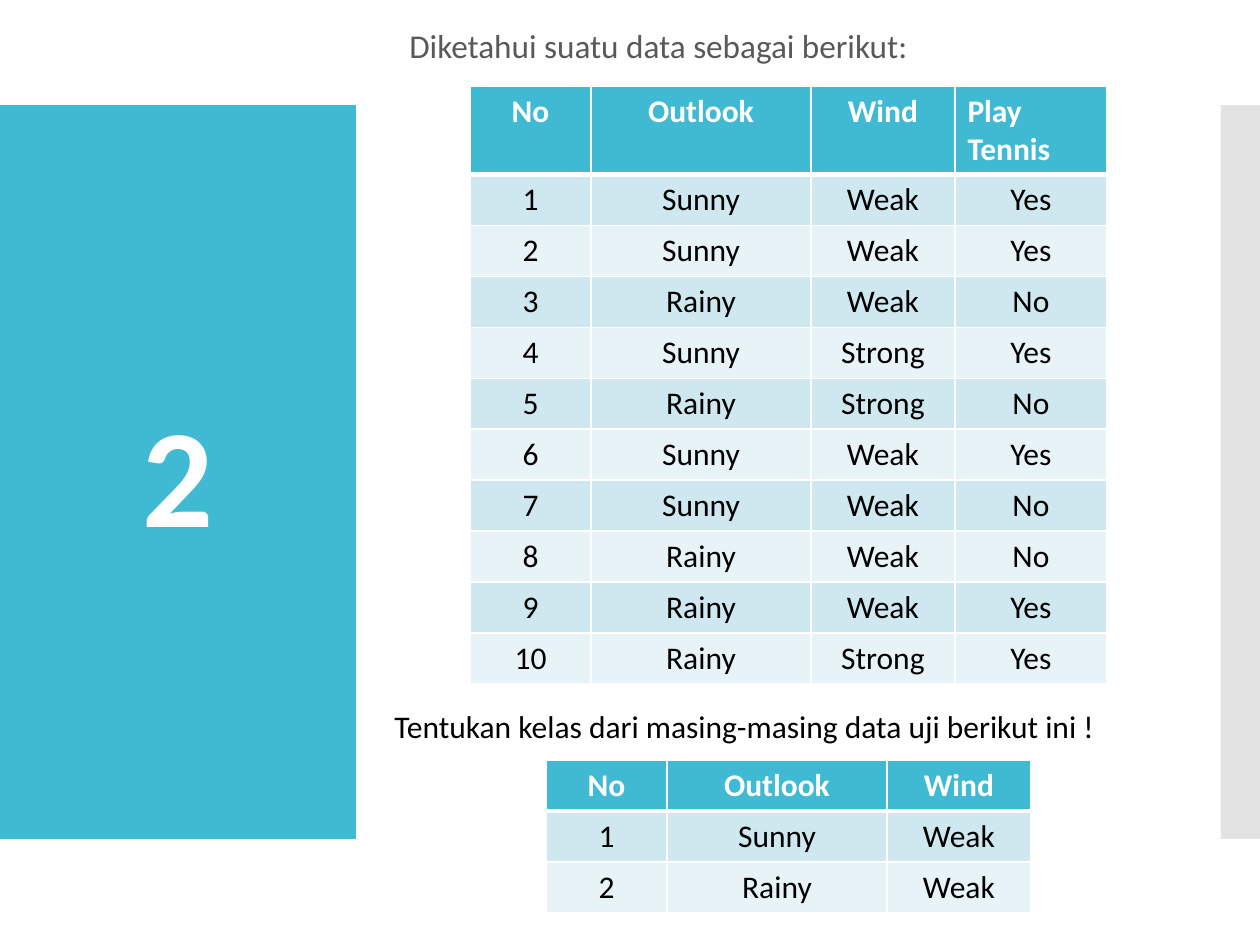
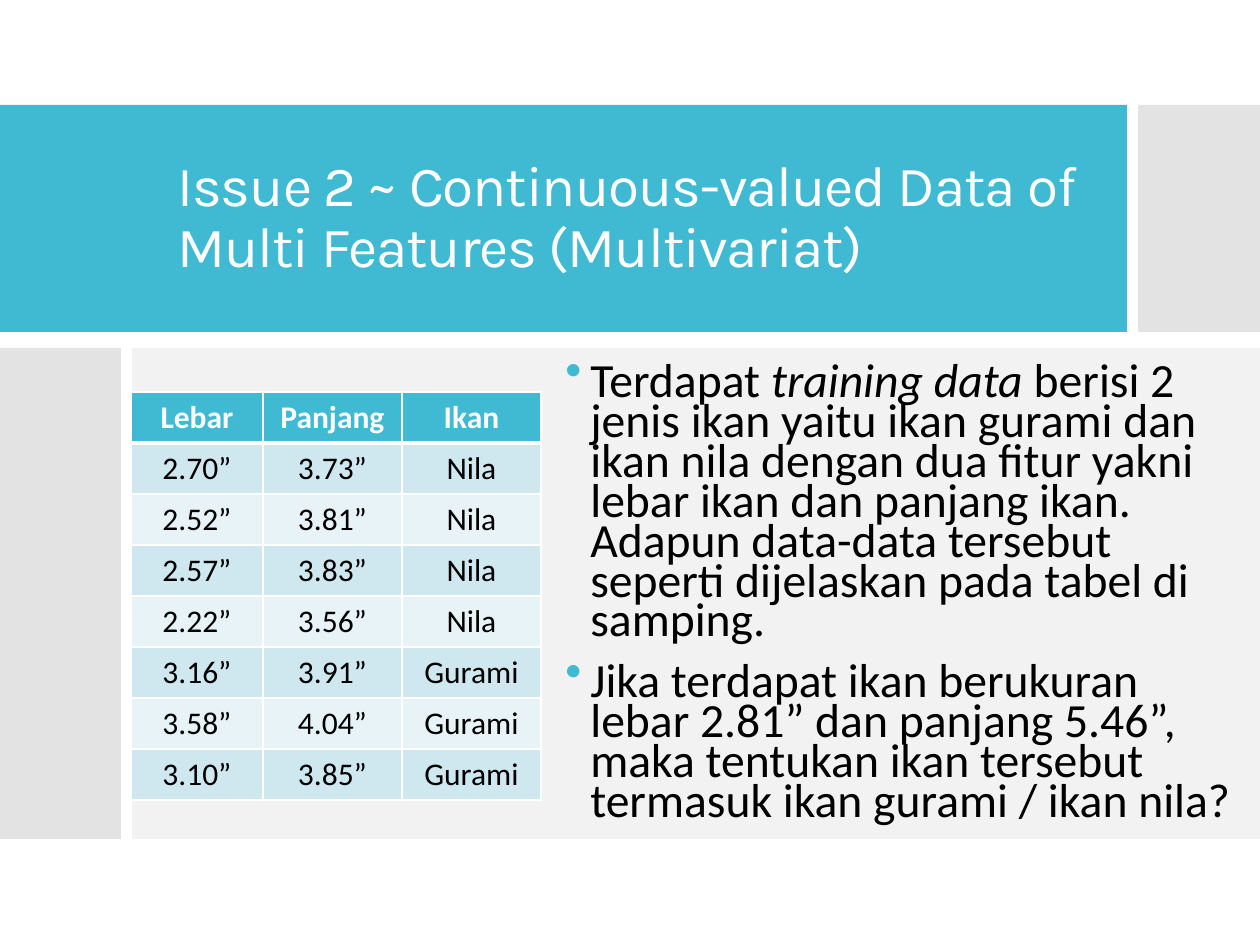
from lxml import etree
from pptx import Presentation
from pptx.dml.color import RGBColor
from pptx.enum.shapes import MSO_SHAPE
from pptx.enum.text import MSO_ANCHOR, PP_ALIGN
from pptx.oxml.ns import qn
from pptx.util import Pt

RECT = MSO_SHAPE.RECTANGLE
TOP, MID = MSO_ANCHOR.TOP, MSO_ANCHOR.MIDDLE
LEFT, MIDDLE = PP_ALIGN.LEFT, PP_ALIGN.CENTER
SCALE = 914400 / 126

HUES = {
    "teal": "40BAD2", "gray": "C8C8C8", "pale": "F2F2F2", "white": "FFFFFF",
    "snow": "FEFEFE", "ink": "000000", "soft": "595959",
    "odd": "CFE7EE", "even": "E8F3F7",
}

# Content
INTRO = "Diketahui suatu data sebagai berikut:"
TASK = "Tentukan kelas dari masing-masing data uji berikut ini !"
NUMBER = "2"
TITLE = "Issue 2 ~ Continuous-valued Data of Multi Features (Multivariat)"
POINTS = [
    [("Terdapat ", False), ("training data ", True),
     ("berisi 2 jenis ikan yaitu ikan gurami dan ikan nila dengan dua fitur "
      "yakni lebar ikan dan panjang ikan. Adapun data-data tersebut seperti "
      "dijelaskan pada tabel di samping.", False)],
    [("Jika terdapat ikan berukuran lebar 2.81” dan panjang 5.46”, maka "
      "tentukan ikan tersebut termasuk ikan gurami / ikan nila?", False)],
]
TENNIS = [
    ("No", "Outlook", "Wind", "Play Tennis"),
    ("1", "Sunny", "Weak", "Yes"),
    ("2", "Sunny", "Weak", "Yes"),
    ("3", "Rainy", "Weak", "No"),
    ("4", "Sunny", "Strong", "Yes"),
    ("5", "Rainy", "Strong", "No"),
    ("6", "Sunny", "Weak", "Yes"),
    ("7", "Sunny", "Weak", "No"),
    ("8", "Rainy", "Weak", "No"),
    ("9", "Rainy", "Weak", "Yes"),
    ("10", "Rainy", "Strong", "Yes"),
]
TESTS = [
    ("No", "Outlook", "Wind"),
    ("1", "Sunny", "Weak"),
    ("2", "Rainy", "Weak"),
]
FISH = [
    ("Lebar", "Panjang", "Ikan"),
    ("2.70”", "3.73”", "Nila"),
    ("2.52”", "3.81”", "Nila"),
    ("2.57”", "3.83”", "Nila"),
    ("2.22”", "3.56”", "Nila"),
    ("3.16”", "3.91”", "Gurami"),
    ("3.58”", "4.04”", "Gurami"),
    ("3.10”", "3.85”", "Gurami"),
]

# Bands: left, top, width, height, colour, opacity in percent
SIDES = [
    (0, 105, 356, 734, "teal", 100),
    (1221, 105, 39, 734, "gray", 50),
]
FRAMES = [
    (0, 105, 1127, 227, "teal", 100),
    (132, 348, 1128, 491, "pale", 100),
    (1138, 105, 122, 227, "gray", 50),
    (0, 348, 121, 491, "gray", 50),
]

# Text formats
FONTS = {
    "intro": {"name": "Calibri", "size": Pt(19)},
    "number": {"name": "Calibri", "size": Pt(80), "bold": True},
    "plain": {"name": "Calibri", "size": Pt(18), "bold": False},
    "head": {"name": "Calibri", "size": Pt(18), "bold": True},
    "title": {"name": "Karla", "size": Pt(32.4)},
    "point": {"name": "Calibri", "size": Pt(27.2)},
}
ROW = 51
COLS = (121, 220, 144, 152)


def px(n):
    return round(n * SCALE)


def rgb(hue):
    return RGBColor.from_string(HUES[hue])


def paint(fill, hue):
    fill.solid()
    fill.fore_color.rgb = rgb(hue)


def node(root, tag, **attrs):
    return etree.SubElement(root, qn(tag), attrs)


def line(root, tag, spot, points, hue):
    """Insert an outline or cell border as child number spot."""
    edge = node(root, tag, w=str(Pt(points)))
    node(node(edge, "a:solidFill"), "a:srgbClr", val=HUES[hue])
    root.insert(spot, edge)


def write(para, text, style, hue, space=0, **more):
    run = para.add_run()
    run.text = text
    for key, val in {**FONTS[style], **more}.items():
        setattr(run.font, key, val)
    run.font.color.rgb = rgb(hue)
    if space:
        run.font._element.set("spc", str(space))
    return run


def band(slide, x, y, w, h, hue, alpha):
    shape = slide.shapes.add_shape(RECT, px(x), px(y), px(w), px(h))
    shape.shadow.inherit = False
    shape.line.fill.background()
    paint(shape.fill, hue)
    if alpha < 100:
        tint = next(shape._element.spPr.iter(qn("a:srgbClr")))
        node(tint, "a:alpha", val=str(alpha * 1000))


def box(slide, x, y, w, h, anchor=TOP, wrap=True):
    frame = slide.shapes.add_textbox(px(x), px(y), px(w), px(h)).text_frame
    frame.word_wrap = wrap
    frame.vertical_anchor = anchor
    return frame


def grid(slide, x, y, cols, rows, head=ROW, lefts=()):
    """Draw a banded table; header cells numbered in lefts align left."""
    high = head + ROW * (len(rows) - 1)
    table = slide.shapes.add_table(len(rows), len(cols), px(x), px(y),
                                   px(sum(cols)), px(high)).table
    for col, wide in zip(table.columns, cols):
        col.width = px(wide)
    for r, row in enumerate(rows):
        table.rows[r].height = px(ROW if r else head)
        hue = ("even" if r % 2 == 0 else "odd") if r else "teal"
        style, ink = ("plain", "ink") if r else ("head", "white")
        edges = {"L": 1, "R": 1, "T": 3 if r == 1 else 1, "B": 1 if r else 3}
        for c, text in enumerate(row):
            cell = table.cell(r, c)
            paint(cell.fill, hue)
            para = cell.text_frame.paragraphs[0]
            para.alignment = LEFT if r == 0 and c in lefts else MIDDLE
            write(para, text, style, ink)
            for spot, (side, points) in enumerate(edges.items()):
                line(cell._tc.get_or_add_tcPr(), "a:ln" + side, spot,
                     points, "white")


def bullet(para):
    props = para._p.get_or_add_pPr()
    props.set("marL", str(px(25)))
    props.set("indent", str(-px(25)))
    node(node(props, "a:buClr"), "a:srgbClr", val=HUES["teal"])
    node(props, "a:buChar", char="•")


def tennis(slide):
    for side in SIDES:
        band(slide, *side)
    para = box(slide, 397, 10, 756, 76, MID).paragraphs[0]
    para.line_spacing = 0.9
    write(para, INTRO, "intro", "soft")

    # Large outlined number
    para = box(slide, 89, 381, 179, 183).paragraphs[0]
    para.alignment = MIDDLE
    run = write(para, NUMBER, "number", "snow", 50)
    line(run.font._element, "a:ln", 0, 0.75, "teal")

    # Training and test data
    grid(slide, 470, 86, COLS, TENNIS, 87, lefts=(3,))
    write(box(slide, 382, 701, 745, 50, wrap=False).paragraphs[0],
          TASK, "plain", "ink")
    grid(slide, 546, 760, COLS[:3], TESTS)


def fish(slide):
    for frame in FRAMES:
        band(slide, *frame)
    para = box(slide, 165, 150, 929, 137, MID).paragraphs[0]
    para.line_spacing = 0.9
    write(para, TITLE, "title", "white", -60)

    # Bulleted question
    frame = box(slide, 553, 352, 692, 487, MID)
    for i, parts in enumerate(POINTS):
        para = frame.add_paragraph() if i else frame.paragraphs[0]
        bullet(para)
        para.line_spacing = 0.7
        if i:
            para.space_before = Pt(12)
        for text, slant in parts:
            write(para, text, "point", "ink", italic=slant)

    grid(slide, 131, 392, (132, 139, 139), FISH)


def main():
    deck = Presentation()
    deck.slide_width, deck.slide_height = px(1260), px(945)
    for draw in (tennis, fish):
        draw(deck.slides.add_slide(deck.slide_layouts[6]))
    deck.save("out.pptx")


if __name__ == "__main__":
    main()
